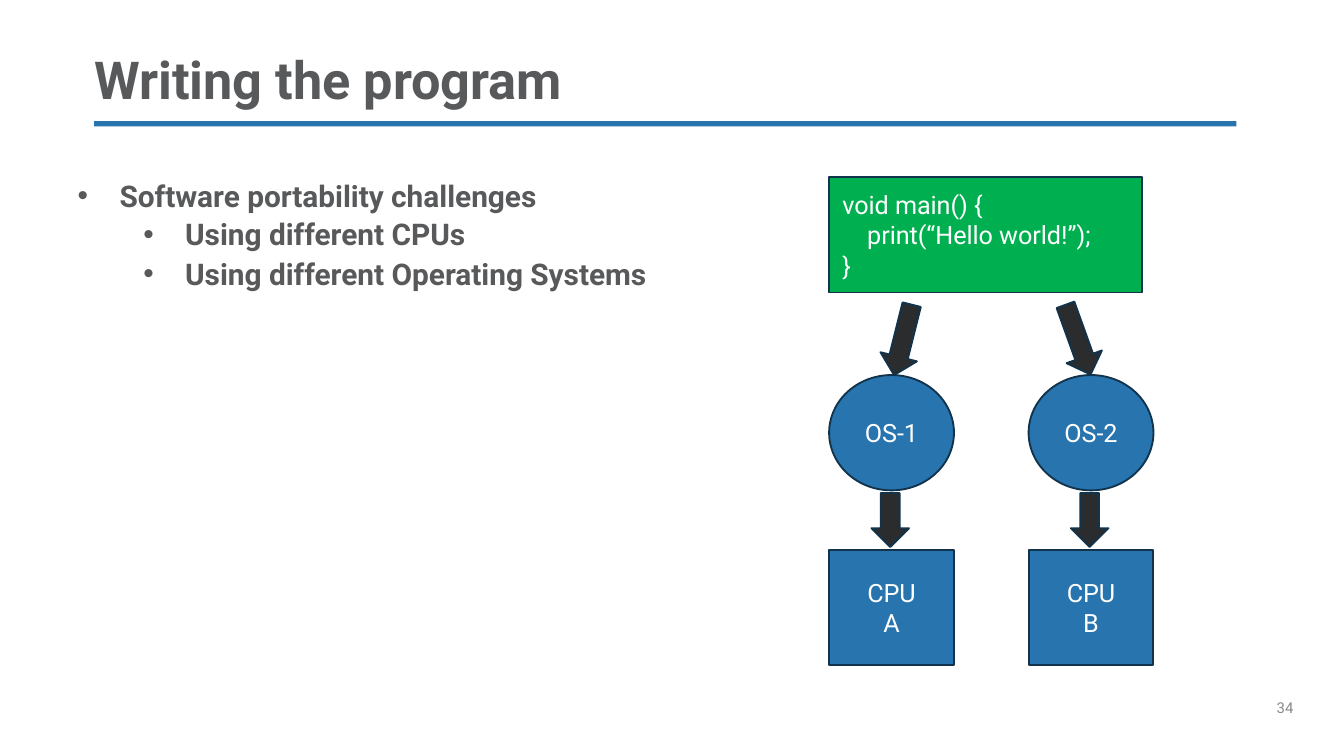
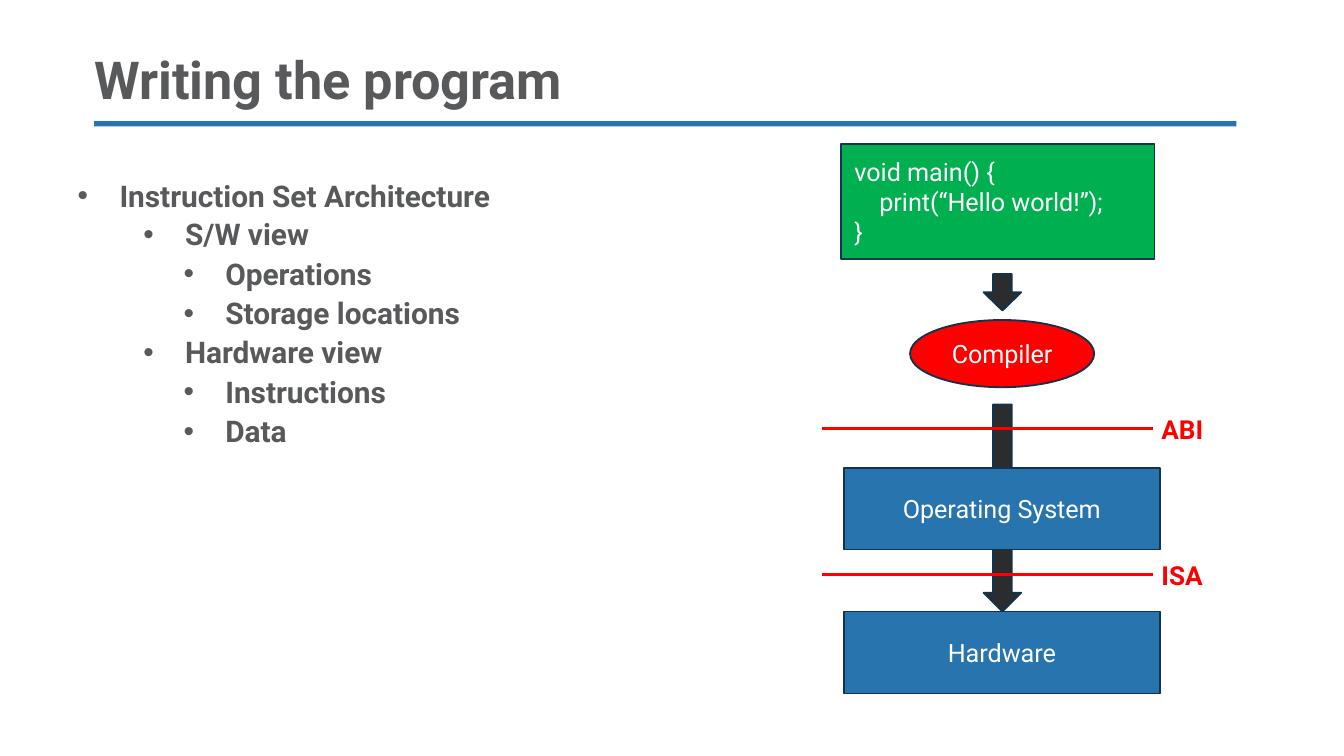
from lxml import etree
from pptx import Presentation
from pptx.dml.color import RGBColor
from pptx.enum.shapes import MSO_CONNECTOR, MSO_SHAPE
from pptx.enum.text import MSO_ANCHOR, PP_ALIGN
from pptx.oxml.ns import qn
from pptx.util import Cm, Pt

RECT = MSO_SHAPE.RECTANGLE
OVAL = MSO_SHAPE.OVAL
DOWN = MSO_SHAPE.DOWN_ARROW
LINE = MSO_CONNECTOR.STRAIGHT
LEFT, MID = PP_ALIGN.LEFT, PP_ALIGN.CENTER
TOP, CORE, BASE = MSO_ANCHOR.TOP, MSO_ANCHOR.MIDDLE, MSO_ANCHOR.BOTTOM

BLUE = RGBColor(0x27, 0x74, 0xAE)
NAVY = RGBColor(0x11, 0x33, 0x4C)
GREEN = RGBColor(0x00, 0xB0, 0x50)
RED = RGBColor(0xFF, 0x00, 0x00)
DARK = RGBColor(0x2B, 0x2C, 0x2E)
SLATE = RGBColor(0x58, 0x59, 0x5B)
GREY = RGBColor(0x89, 0x89, 0x89)
WHITE = RGBColor(0xFF, 0xFF, 0xFF)

FACE = "Roboto"
HEAD = {"size": Pt(28), "bold": True, "color": SLATE}
BODY = {"size": Pt(16), "bold": True, "color": SLATE}
NODE = {"size": Pt(13.5), "bold": False, "color": WHITE}
MARK = {"size": Pt(14), "bold": True, "color": RED}
PAGE = {"size": Pt(8), "bold": False, "color": GREY}

CODE = ["void main() {", "    print(“Hello world!”);", "}"]
HANG = 0.79
INDENTS = [0.79, 2.03, 2.79]
SHAFT = 0.71


def set_all(item, values):
    for name, value in values.items():
        setattr(item, name, value)


def add_run(para, text, style):
    run = para.add_run()
    run.text = text
    run.font.name = FACE
    for name, value in style.items():
        if name == "color":
            run.font.color.rgb = value
        else:
            setattr(run.font, name, value)


def add_lines(frame, lines, style, align=LEFT):
    for i, text in enumerate(lines):
        para = frame.add_paragraph() if i else frame.paragraphs[0]
        para.alignment = align
        add_run(para, text, style)


def add_frame(slide, box, wrap=True, anchor=TOP):
    frame = slide.shapes.add_textbox(*map(Cm, box)).text_frame
    set_all(frame, {"margin_left": 0, "margin_top": 0, "margin_right": 0,
                    "margin_bottom": 0, "word_wrap": wrap,
                    "vertical_anchor": anchor})
    return frame


def add_node(slide, kind, box, fill, lines=(), align=MID, edge=NAVY):
    shape = slide.shapes.add_shape(kind, *map(Cm, box))
    shape.shadow.inherit = False
    shape.fill.solid()
    shape.fill.fore_color.rgb = fill
    if edge is None:
        shape.line.fill.background()
    else:
        shape.line.color.rgb = edge
        shape.line.width = Pt(1)
    shape.text_frame.vertical_anchor = CORE
    add_lines(shape.text_frame, lines, NODE, align)
    return shape


def add_arrow(slide, left, top, height, turn=0):
    arrow = add_node(slide, DOWN, (left, top, SHAFT, height), DARK)
    arrow.rotation = turn


def add_code(slide, left, top):
    add_node(slide, RECT, (left, top, 5.92, 2.18), GREEN, CODE, LEFT)


def add_list(slide, items, height):
    frame = add_frame(slide, (1.47, 3.35, 19.05, height))
    for i, (level, text) in enumerate(items):
        para = frame.add_paragraph() if i else frame.paragraphs[0]
        props = para._p.get_or_add_pPr()
        props.set("marL", str(Cm(INDENTS[level])))
        props.set("indent", str(-Cm(HANG)))
        etree.SubElement(props, qn("a:buFont")).set("typeface", "Arial")
        etree.SubElement(props, qn("a:buChar")).set("char", "•")
        para.level = level
        if level:
            set_all(para, {"line_spacing": 0.9, "space_before": Pt(3.8)})
        add_run(para, text, BODY)


def add_border(slide, text, y):
    line = slide.shapes.add_connector(LINE, Cm(15.54), Cm(y), Cm(21.79), Cm(y))
    line.line.color.rgb = RED
    line.line.width = Pt(1.5)
    etree.SubElement(line._element.spPr, qn("a:effectLst"))
    frame = add_frame(slide, (21.95, y - 0.29, 1, 0.61), wrap=False)
    add_lines(frame, [text], MARK)


def add_page(deck, title):
    slide = deck.slides.add_slide(deck.slide_layouts[6])
    add_node(slide, RECT, (1.78, 2.29, 21.59, 0.1), BLUE, edge=None)
    frame = add_frame(slide, (1.78, 1.02, 21.59, 1.07), anchor=BASE)
    add_lines(frame, [title], HEAD)
    frame.paragraphs[0].line_spacing = 0.9
    return slide


def draw_ports(deck):
    slide = add_page(deck, "Writing the program")
    add_list(slide, [(0, "Software portability challenges"),
                     (1, "Using different CPUs"),
                     (1, "Using different Operating Systems")], 3.63)
    add_lines(add_frame(slide, (24.13, 13.21, 1.27, 1.02)), ["34"], PAGE)
    add_code(slide, 15.67, 3.35)
    add_arrow(slide, 16.71, 5.74, 1.37, 14)
    add_arrow(slide, 20.02, 5.72, 1.4, 340.2)
    for i, (system, chip) in enumerate([("OS-1", "A"), ("OS-2", "B")]):
        left = 15.67 + 3.77 * i
        add_node(slide, OVAL, (left, 7.09, 2.36, 2.18), BLUE, [system])
        add_node(slide, RECT, (left, 10.39, 2.36, 2.18), BLUE, ["CPU", chip])
        add_arrow(slide, left + 0.8, 9.32, 1.02)


def draw_layers(deck):
    slide = add_page(deck, "Writing the program")
    add_list(slide, [(0, "Instruction Set Architecture"),
                     (1, "S/W view"),
                     (2, "Operations"),
                     (2, "Storage locations"),
                     (1, "Hardware view"),
                     (2, "Instructions"),
                     (2, "Data")], 5.92)
    add_arrow(slide, 18.59, 7.65, 3.91)
    add_code(slide, 15.9, 2.72)
    for text, top in [("Operating System", 8.84), ("Hardware", 11.56)]:
        add_node(slide, RECT, (15.95, top, 5.97, 1.55), BLUE, [text])
    for text, y in [("ABI", 8.1), ("ISA", 10.86)]:
        add_border(slide, text, y)
    add_node(slide, OVAL, (17.2, 6.05, 3.48, 1.27), RED, ["Compiler"])
    add_arrow(slide, 18.59, 5.18, 0.69)


def main():
    deck = Presentation()
    set_all(deck, {"slide_width": Cm(25.4), "slide_height": Cm(14.29)})
    draw_ports(deck)
    draw_layers(deck)
    deck.save("out.pptx")


if __name__ == "__main__":
    main()
